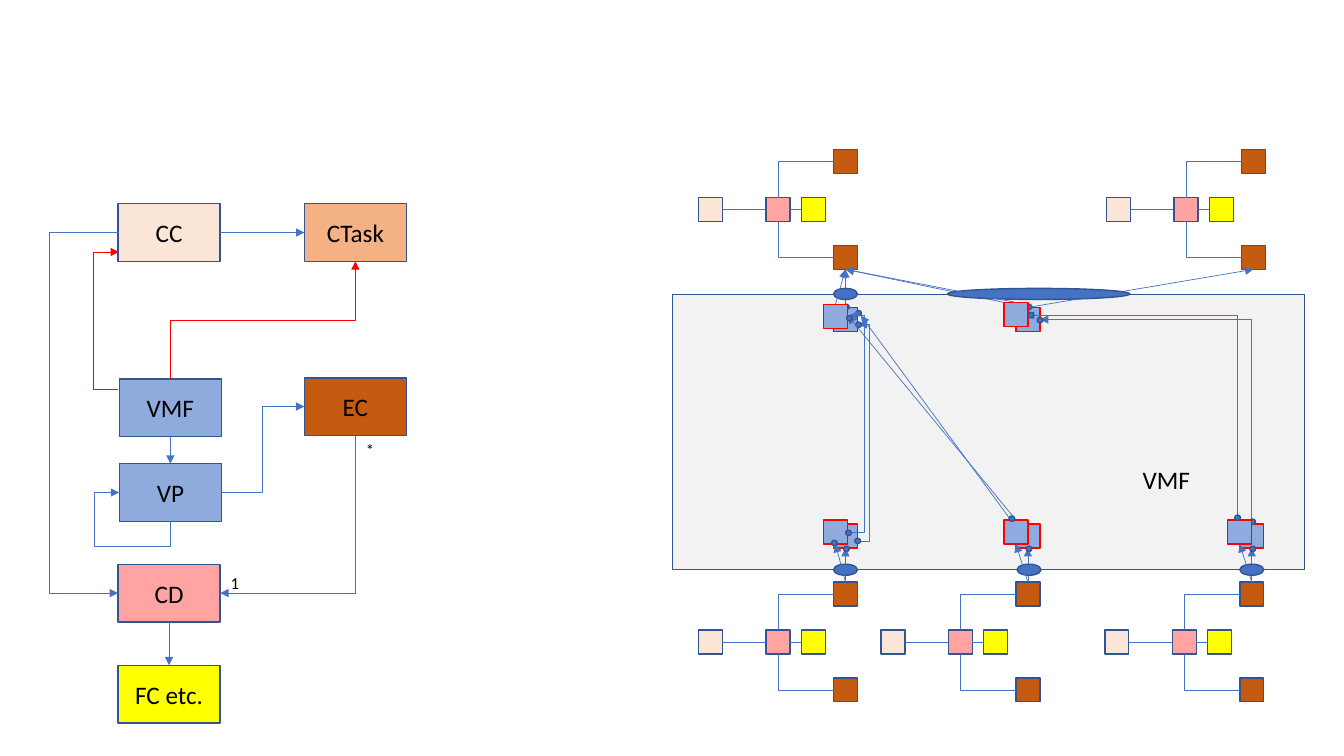
import lxml.etree
import pptx
import pptx.dml.color
import pptx.enum.shapes
import pptx.enum.text
import pptx.oxml.ns
import pptx.util

Pt = pptx.util.Pt
qn = pptx.oxml.ns.qn
Kind = pptx.enum.shapes.MSO_CONNECTOR
Form = pptx.enum.shapes.MSO_SHAPE
Align = pptx.enum.text.PP_ALIGN
Anchor = pptx.enum.text.MSO_ANCHOR

NAVY, BLUE, RED, BLACK = "325491", "4472C4", "FF0000", "000000"
GREY, CREAM, PEACH, SKY = "F2F2F2", "FBE5D6", "F4B183", "8FAADC"
BROWN, PINK, YELLOW = "C55A11", "FFA3A3", "FFFF00"
TOP, LEFT, BASE, RIGHT = range(4)
TILE = 17.1
REACH, RISE, NEAR = 48.2, 34.2, 25.2  # spacing of tiles around a pink hub


def tint(code):
    return pptx.dml.color.RGBColor.from_string(code)


def write(frame, text, size=18, align=Align.CENTER, anchor=Anchor.MIDDLE, pad=(7.2, 3.6)):
    """Fill a text frame; pad is its left and top margin."""
    frame.word_wrap = True
    frame.vertical_anchor = anchor
    frame.margin_left, frame.margin_top = map(Pt, pad)
    para = frame.paragraphs[0]
    para.alignment = align
    run = para.add_run()
    run.text = text
    run.font.name, run.font.size = "Calibri", Pt(size)
    run.font.color.rgb = tint(BLACK)


class Board:
    def __init__(self, slide):
        self.shapes = slide.shapes

    def shape(self, x, y, w, h, fill, edge=NAVY, form=Form.RECTANGLE):
        item = self.shapes.add_shape(form, Pt(x), Pt(y), Pt(w), Pt(h))
        item.shadow.inherit = False
        item.fill.solid()
        item.fill.fore_color.rgb = tint(fill)
        item.line.color.rgb = tint(edge)
        item.line.width = Pt(1)
        return item

    def tile(self, x, y, fill, edge=NAVY):
        return self.shape(x, y, TILE, TILE, fill, edge)

    def oval(self, x, y, w=4, h=3.8):
        return self.shape(x, y, w, h, BLUE, form=Form.OVAL)

    def box(self, x, y, fill, text):
        item = self.shape(x, y, 73, 41.2, fill)
        write(item.text_frame, text)
        return item

    def label(self, x, y, text):
        item = self.shapes.add_textbox(Pt(x), Pt(y), Pt(35.3), Pt(21.8))
        write(item.text_frame, text, size=12, align=Align.LEFT, anchor=Anchor.TOP)

    def line(self, a, b, ink=BLUE, head=False, tail=False, kind=Kind.STRAIGHT):
        item = self.shapes.add_connector(kind, *map(Pt, (*a, *b)))
        item.line.color.rgb = tint(ink)
        item.line.width = Pt(0.5)
        props = item.element.spPr
        for name, shown in (("a:headEnd", head), ("a:tailEnd", tail)):
            if shown:
                lxml.etree.SubElement(props.find(qn("a:ln")), qn(name), type="triangle")
        lxml.etree.SubElement(props, qn("a:effectLst"))
        return item

    def join(self, one, side, two, end, **style):
        """Draw a straight line between the side middles of two rectangles."""
        item = self.line((0, 0), (0, 0), **style)
        item.begin_connect(one, side)
        item.end_connect(two, end)

    def bend(self, a, b, *turns, down=False, **style):
        """Draw an elbow; turns are the coordinates of its middle legs.

        With down set, the first leg is vertical: the frame is turned by 90 degrees.
        """
        (ax, ay), (bx, by) = a, b
        start, stop = a, b
        if down:
            mx, my = (ax + bx) / 2, (ay + by) / 2
            hx, hy = (by - ay) / 2, (ax - bx) / 2
            start, stop = (mx - hx, my - hy), (mx + hx, my + hy)
        item = self.line(start, stop, kind=Kind.ELBOW, **style)
        props = item.element.spPr
        if down:
            props.find(qn("a:xfrm")).set("rot", "5400000")
        geom = props.find(qn("a:prstGeom"))
        geom.set("prst", f"bentConnector{2 + len(turns)}")
        guides = geom.find(qn("a:avLst"))
        if guides is None:
            guides = lxml.etree.SubElement(geom, qn("a:avLst"))
        for i, turn in enumerate(turns):
            axis = (i + down) % 2
            part = round(100000 * (turn - a[axis]) / (b[axis] - a[axis]))
            lxml.etree.SubElement(guides, qn("a:gd"), name=f"adj{i + 1}", fmla=f"val {part}")

    def group(self, x, y):
        """Draw a pink hub with its tiles; return the upper and lower brown tiles."""
        hub = self.tile(x, y, PINK)
        pale = self.tile(x - REACH, y, CREAM)
        gold = self.tile(x + NEAR, y, YELLOW)
        self.join(hub, RIGHT, gold, LEFT)
        self.join(pale, RIGHT, hub, LEFT)
        ends = []
        for rise, edge in ((-RISE, y), (RISE, y + TILE)):
            ends.append(self.tile(x + REACH, y + rise, BROWN))
            self.bend((x + TILE / 2, edge), (x + REACH, y + rise + TILE / 2), down=True)
        return ends


def mesh(board):
    panel = board.shape(480.2, 210.2, 451.8, 196.8, GREY)
    write(panel.text_frame, "VMF", pad=(261, 70.6))

    hubs = (547.2, 677.5, 837.4)
    lower = [board.group(x, 450)[0] for x in hubs]
    upper = [board.group(x, 141.1)[1] for x in (547.2, 838.6)]
    for x, brown in zip(hubs, lower):
        back = board.tile(x + REACH, 374.4, SKY, RED)
        board.join(brown, TOP, back, BASE, tail=True)
    first, second = [board.tile(x + REACH, 219.6, SKY, RED) for x in hubs[:2]]
    for back, brown in ((first, upper[0]), (second, upper[0]), (second, upper[1])):
        board.join(back, TOP, brown, BASE, tail=True)

    for x, y, w in ((595.4, 206, 17.1), (676.8, 206, 130.3), (595.4, 403, 17.1),
                    (726.5, 403, 17.1), (885.6, 403, 17.1)):
        board.oval(x, y, w, 7.9)

    board.bend((612.7, 386.6), (613.4, 231.8), 620.6, tail=True)
    board.bend((894.2, 374.4), (743, 228.2), down=True, tail=True)
    for x, y in ((611.3, 230.1), (611.3, 221.8), (602.6, 217.4), (733, 217.4), (740.9, 226.8),
                 (610.6, 384.5), (602.6, 390.2), (733, 390.2), (892.8, 390.2), (892.8, 370.8)):
        board.oval(x, y)
    board.line((725.8, 376.6), (614.9, 225.4), tail=True)
    board.line((725.8, 371.5), (605.5, 225.4), tail=True)
    board.bend((605.5, 380.2), (606.2, 225.4), 617, tail=True)
    board.bend((884.2, 372.2), (733, 225.4), down=True, tail=True)

    for x, brown in zip((588.2, 717.1, 877), lower):
        front = board.tile(x, 371.5, SKY, RED)
        board.join(brown, TOP, front, BASE, tail=True)
    for x, y in ((588.2, 217.4), (717.1, 216)):
        front = board.tile(x, y, SKY, RED)
        board.join(front, TOP, upper[0], BASE, tail=True)
    for x, y in ((604.1, 378.7), (594, 385.9), (604.8, 225.4),
                 (720.7, 368.6), (734.4, 223.2), (882, 367.9)):
        board.oval(x, y)


def model(board):
    cc = board.box(84.3, 145.5, CREAM, "CC")
    task = board.box(217.4, 145.5, PEACH, "CTask")
    vmf = board.box(85.2, 270.7, SKY, "VMF")
    board.box(217.4, 270, BROWN, "EC")
    cd = board.box(84.3, 403, PINK, "CD")
    fc = board.box(84.3, 475.2, YELLOW, "FC etc.")
    vp = board.box(85.2, 331.2, SKY, "VP")
    board.label(157.7, 405.4, "1")
    board.label(254.2, 310.3, "*")

    board.join(cc, RIGHT, task, LEFT, tail=True)
    board.join(vmf, BASE, vp, TOP, tail=True)
    board.join(cd, BASE, fc, TOP, tail=True)
    board.bend((253.8, 311.2), (157.3, 423.6), down=True, tail=True)
    board.bend((253.8, 186.7), (121.7, 270.7), 228.7, down=True, ink=RED, head=True)
    board.bend((85, 165.9), (84.3, 423.6), 35.6, tail=True)
    board.bend((85, 180), (84.3, 278), 67.2, ink=RED, head=True)
    board.bend((121.7, 372.4), (85.2, 351.8), 390.2, 67.2, down=True, tail=True)
    board.bend((158.2, 351.8), (217.4, 290.4), 187.4, tail=True)


def main():
    deck = pptx.Presentation()
    deck.slide_width, deck.slide_height = Pt(960), Pt(540)
    board = Board(deck.slides.add_slide(deck.slide_layouts[6]))
    mesh(board)
    model(board)
    deck.save("out.pptx")


if __name__ == "__main__":
    main()
